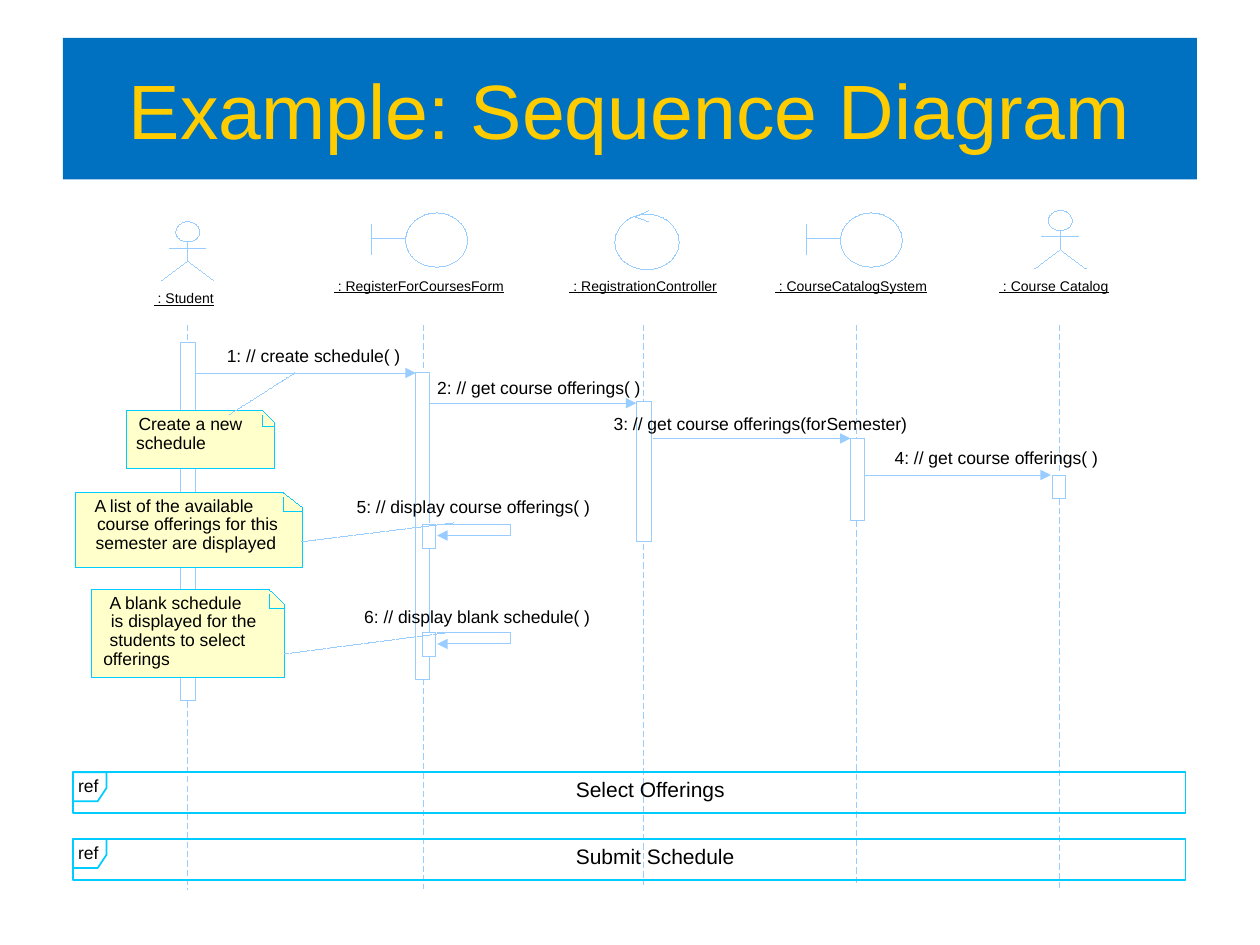
import dataclasses

import pptx
import pptx.dml.color
import pptx.enum.dml
import pptx.enum.shapes
import pptx.enum.text
import pptx.oxml.ns
import pptx.util
from lxml import etree

CELL = pptx.util.Inches(0.1)  # the slide is a grid of 100 columns by 75 rows
COLS, ROWS = 100, 75
SHAPE = pptx.enum.shapes.MSO_SHAPE
DASH = pptx.enum.dml.MSO_LINE


@dataclasses.dataclass(frozen=True)
class Theme:
    font: str = "Arial"
    band: str = "0070C0"
    title: str = "FFCC00"
    ink: str = "000000"
    line: str = "99CCFF"
    edge: str = "00CCFF"
    note: str = "FFFFCC"
    head: int = 44
    frame: int = 12
    text: int = 10
    name: int = 8


THEME = Theme()


def grid(*cells):
    return [round(cell * CELL) for cell in cells]


def color(code):
    return pptx.dml.color.RGBColor.from_string(code)


def stroke(item, code, width=0, dash=None):
    """Set a line; width 0 is a hairline and must be stated in the XML."""
    item.line.color.rgb = color(code)
    item.line.dash_style = dash
    item.line._get_or_add_ln().set("w", str(int(pptx.util.Pt(width))))


def style(item, fill=None, edge=None, width=0):
    """Set fill and outline; None means that the part is not drawn."""
    item.shadow.inherit = False
    if fill:
        item.fill.solid()
        item.fill.fore_color.rgb = color(fill)
    else:
        item.fill.background()
    if edge:
        stroke(item, edge, width)
    else:
        item.line.fill.background()
    return item


def write(part, text, size, code=THEME.ink, **more):
    run = part.add_run()
    run.text = text
    form = {"name": THEME.font, "size": pptx.util.Pt(size), **more}
    for key, value in form.items():
        setattr(run.font, key, value)
    run.font.color.rgb = color(code)


def box(shapes, left, top, wide, high, kind=SHAPE.RECTANGLE, **form):
    item = shapes.add_shape(kind, *grid(left, top, wide, high))
    return style(item, **form)


def arrow(item):
    """Put a triangle at the end of a line."""
    line = item.line._get_or_add_ln()
    etree.SubElement(line, pptx.oxml.ns.qn("a:tailEnd"), type="triangle")


def line(shapes, x1, y1, x2, y2, dash=None, tip=False):
    item = shapes.add_connector(
        pptx.enum.shapes.MSO_CONNECTOR.STRAIGHT, *grid(x1, y1, x2, y2))
    stroke(item, THEME.line, dash=dash)
    if tip:
        arrow(item)
    etree.SubElement(item._element.spPr, pptx.oxml.ns.qn("a:effectLst"))


def shape(shapes, points, close=False, **form):
    first, *rest = [grid(*point) for point in points]
    pen = shapes.build_freeform(*first)
    pen.add_line_segments(rest, close=close)
    return style(pen.convert_to_shape(), **form)


def label(shapes, text, left, top, wide, size=THEME.text, space=None, **more):
    """Write one line of text, with a cell to spare so that it never breaks."""
    item = shapes.add_textbox(*grid(left, top, wide + 1, size * 0.17))
    frame = item.text_frame
    form = {"margin_left": 0, "margin_right": 0, "margin_top": 0,
            "margin_bottom": 0, "word_wrap": True,
            "auto_size": pptx.enum.text.MSO_AUTO_SIZE.NONE}
    for key, value in form.items():
        setattr(frame, key, value)
    part = frame.paragraphs[0]
    if space:
        part.line_spacing = pptx.util.Pt(space)
    write(part, text, size, **more)


def banner(shapes, text):
    item = box(shapes, COLS * 0.05, ROWS * 0.04, COLS * 0.9, ROWS * 0.15,
               fill=THEME.band)
    item.text_frame.word_wrap = True
    item.text_frame.vertical_anchor = pptx.enum.text.MSO_ANCHOR.MIDDLE
    part = item.text_frame.paragraphs[0]
    part.alignment = pptx.enum.text.PP_ALIGN.CENTER
    write(part, text, THEME.head, THEME.title)


def actor(shapes, x, top):
    hip = top + 3.1
    box(shapes, x - 0.95, top, 1.9, 1.6, SHAPE.OVAL, edge=THEME.line)
    line(shapes, x, top + 1.65, x, hip)
    line(shapes, x - 1.45, top + 2.1, x + 1.45, top + 2.1)
    shape(shapes, [(x - 2.05, hip + 1.55), (x, hip), (x + 2.05, hip + 1.55)],
          edge=THEME.line)


def border(shapes, x):
    """Draw the icon of a boundary class."""
    line(shapes, x, 17.8, x, 20.2)
    line(shapes, x, 18.9, x + 2.7, 18.9)
    box(shapes, x + 2.7, 16.9, 4.9, 4.3, SHAPE.OVAL, edge=THEME.line)


def control(shapes, x):
    """Draw the icon of a control class."""
    box(shapes, x, 17, 5.1, 4.4, SHAPE.OVAL, edge=THEME.line)
    for row in (16.7, 17.6):
        line(shapes, x + 2.7, row, x + 1.6, 17.2)


def note(shapes, left, top, wide, high, fold, drop, lines):
    right, base = left + wide, top + high
    shape(shapes, [(left, top), (right - fold, top), (right, top + drop),
                   (right, base), (left, base)],
          close=True, fill=THEME.note, edge=THEME.edge)
    ear = top + 0.35
    shape(shapes, [(right - fold, ear), (right - fold, ear + drop),
                   (right, ear + drop)], edge=THEME.edge)
    for row, (text, x, width) in enumerate(lines):
        label(shapes, text, x, top + 0.15 + 1.5 * row, width)


def call(shapes, row):
    """Draw a message that the form sends to itself."""
    box(shapes, 33.5, row, 1.1, 1.9, edge=THEME.line)
    item = shape(shapes, [(34.7, row), (40.5, row), (40.5, row + 0.9),
                          (34.7, row + 0.9)], edge=THEME.line, width=0.5)
    arrow(item)


def frame(shapes, top, text, wide):
    """Draw a reference frame with its tab."""
    left, right, base = 5.8, 8.45, top + 2.3
    box(shapes, left, top, 88.3, 3.25, edge=THEME.edge, width=1)
    shape(shapes, [(left, base), (left, top), (right, top),
                   (right, top + 1.25), (right - 0.7, base)],
          close=True, edge=THEME.edge, width=1)
    label(shapes, text, 45.7, top + 0.55, wide, THEME.frame, space=13)
    label(shapes, "ref", 6.2, top + 0.1, 1.6, space=13)


def main():
    deck = pptx.Presentation()
    deck.slide_width, deck.slide_height = grid(COLS, ROWS)
    shapes = deck.slides.add_slide(deck.slide_layouts[6]).shapes

    banner(shapes, "Example: Sequence Diagram")
    actor(shapes, 14.9, 17.6)
    border(shapes, 29.5)
    control(shapes, 48.8)
    border(shapes, 64)
    actor(shapes, 84.15, 16.7)

    for text, x, y, wide in (
            (" : Student", 12.2, 23, 4.8),
            (" : RegisterForCoursesForm", 26.5, 22, 13.5),
            (" : RegistrationController", 45.2, 22, 11.7),
            (" : CourseCatalogSystem", 61.5, 22, 12.1),
            (" : Course Catalog", 79.3, 22, 8.7)):
        label(shapes, text, x, y, wide, THEME.name, underline=True)

    for x, start, stop, end in (
            (14.9, 27.2, 55.7, 70.6), (33.6, 29.5, 53.9, 70.5),
            (51.1, 31.9, 43.2, 70.2), (68, 34.8, 41.4, 70.1),
            (84.1, 37.6, 39.6, 70.5)):
        line(shapes, x, 25.8, x, start, DASH.DASH)
        line(shapes, x, stop, x, end, DASH.DASH)

    for x, y, wide, high in ((14.3, 27.2, 1.2, 28.4), (50.5, 31.9, 1.2, 11.1),
                             (67.5, 34.8, 1.1, 6.5), (83.5, 37.7, 1.1, 1.9)):
        box(shapes, x, y, wide, high, edge=THEME.line)
    shape(shapes, [(34.1, 41.5), (34.1, 29.6), (33, 29.6), (33, 53.9),
                   (34.1, 53.9), (34.1, 52.1)], edge=THEME.line, width=0.5)
    line(shapes, 34.1, 43.5, 34.1, 50.2)
    for row in (41.6, 50.2):
        call(shapes, row)

    note(shapes, 10, 32.6, 11.75, 4.55, 0.9, 0.9, (
        ("Create a new", 11, 8.6), ("schedule", 10.8, 5.5)))
    note(shapes, 6, 39.1, 18, 5.9, 1.5, 1.15, (
        ("A list of the available", 7.5, 13.1),
        ("course offerings for this", 7.7, 14.8),
        ("semester are displayed", 7.6, 14.3)))
    note(shapes, 7.3, 46.8, 15.3, 7, 1.2, 1.15, (
        ("A blank schedule", 8.7, 10.9), ("is displayed for the", 8.8, 11.9),
        ("students to select", 8.7, 11.2), ("offerings", 8.2, 5.3)))
    for ends in ((23.9, 43, 36, 41.5), (22.6, 51.9, 35.6, 50.2),
                 (18.2, 32.9, 23.4, 29.6)):
        line(shapes, *ends, dash=DASH.SQUARE_DOT)

    for x1, x2, y in ((15.5, 33, 29.6), (34.1, 50.5, 32),
                      (51.8, 67.5, 34.8), (68.6, 83.4, 37.7)):
        line(shapes, x1, y, x2, y, tip=True)
    for text, x, y, wide in (
            ("1: // create schedule( )", 18, 27.4, 13.8),
            ("2: // get course offerings( )", 34.7, 29.9, 16.2),
            ("3: // get course offerings(forSemester)", 48.7, 32.8, 23.3),
            ("4: // get course offerings( )", 71, 35.5, 16.2),
            ("5: // display course offerings( )", 28.3, 39.4, 18.5),
            ("6: // display blank schedule( )", 28.9, 48.1, 17.9)):
        label(shapes, text, x, y, wide)

    frame(shapes, 61.3, "Select Offerings", 11.9)
    frame(shapes, 66.6, "Submit Schedule", 12.6)
    deck.save("out.pptx")


if __name__ == "__main__":
    main()
